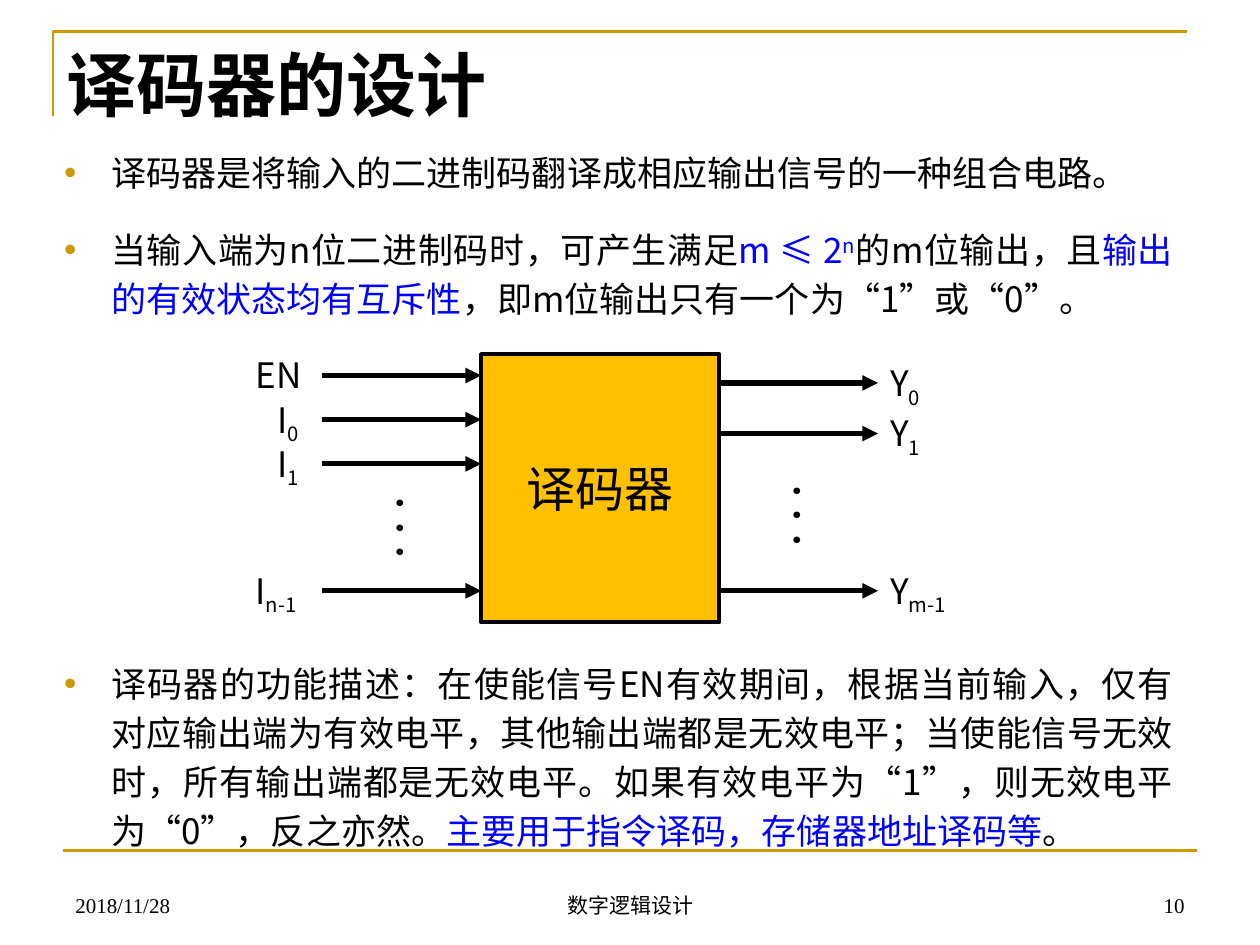
"""Build a slide that explains the design of a decoder."""
from lxml import etree
from pptx import Presentation, util as u
from pptx.dml.color import RGBColor
from pptx.enum import shapes, text
from pptx.oxml.ns import qn

SANS, SERIF = "Noto Sans CJK SC", "Times New Roman"
BLACK, BLUE, GOLD, AMBER = "000000", "0000FF", "CC9900", "FFC000"
LEFT, CENTER, RIGHT, JUSTIFY = (
    text.PP_ALIGN.LEFT, text.PP_ALIGN.CENTER, text.PP_ALIGN.RIGHT, text.PP_ALIGN.JUSTIFY)
TOP, MIDDLE, BOTTOM = text.MSO_ANCHOR.TOP, text.MSO_ANCHOR.MIDDLE, text.MSO_ANCHOR.BOTTOM


def paint(color_format, color):
    """Set a colour format from a hex string."""
    color_format.rgb = RGBColor.from_string(color)


def place(shape, left, top, width, height):
    """Move and size a shape in centimetres."""
    shape.left, shape.top = u.Cm(left), u.Cm(top)
    shape.width, shape.height = u.Cm(width), u.Cm(height)


def add_run(paragraph, content, size=20, color=BLACK, font=SANS, bold=False, baseline=0):
    """Add formatted text to a paragraph."""
    run = paragraph.add_run()
    run.text = content
    run.font.size, run.font.bold, run.font.name = u.Pt(size), bold, font
    paint(run.font.color, color)
    properties = run.font._element
    etree.SubElement(properties, qn("a:ea")).set("typeface", SANS)
    if baseline:
        properties.set("baseline", str(baseline * 1000))


def prepare_frame(shape, anchor=TOP, align=LEFT):
    """Set wrapping and alignment, and return the first paragraph."""
    frame = shape.text_frame
    frame.word_wrap, frame.auto_size = True, text.MSO_AUTO_SIZE.NONE
    frame.vertical_anchor = anchor
    frame.paragraphs[0].alignment = align
    return frame.paragraphs[0]


def add_label(slide, box, content, subscript="", anchor=TOP, align=LEFT, **style):
    """Add a text box with an optional subscript."""
    shape = slide.shapes.add_textbox(*map(u.Cm, box))
    paragraph = prepare_frame(shape, anchor, align)
    add_run(paragraph, content, **style)
    if subscript:
        add_run(paragraph, subscript, baseline=-25, **style)
    return shape


def add_line(slide, start, end, color=BLACK, width=3, arrow=False):
    """Add a straight line, with an arrowhead at its end if wanted."""
    line = slide.shapes.add_connector(
        shapes.MSO_CONNECTOR.STRAIGHT, *map(u.Cm, (*start, *end)))
    line.line.width = u.Pt(width)
    paint(line.line.color, color)
    if arrow:
        etree.SubElement(line.line._get_or_add_ln(), qn("a:tailEnd")).set("type", "triangle")
    etree.SubElement(line._element.spPr, qn("a:effectLst"))


def add_corner(slide):
    """Draw the angled rule around the title."""
    builder = slide.shapes.build_freeform(u.Cm(1.07), u.Cm(2.34))
    builder.add_line_segments(
        [(u.Cm(1.07), u.Cm(0.64)), (u.Cm(23.93), u.Cm(0.64))], close=False)
    corner = builder.convert_to_shape()
    corner.shadow.inherit = False
    corner.fill.background()
    corner.line.width = u.Pt(1.5)
    paint(corner.line.color, GOLD)


def add_bullet(paragraph, runs, space_before=16):
    """Fill a justified paragraph with a gold bullet."""
    paragraph.alignment = JUSTIFY
    paragraph.line_spacing, paragraph.space_before = u.Pt(28), u.Pt(space_before)
    properties = paragraph._p.get_or_add_pPr()
    indent = u.Cm(0.95)
    properties.set("marL", str(indent))
    properties.set("indent", str(-indent))
    bullet_color = etree.SubElement(properties, qn("a:buClr"))
    etree.SubElement(bullet_color, qn("a:srgbClr")).set("val", GOLD)
    etree.SubElement(properties, qn("a:buChar")).set("char", "•")
    for content, style in runs:
        add_run(paragraph, content, **style)


def fill_body(body):
    """Write the bullets and leave room for the diagram before the last one."""
    place(body, 1.04, 2.79, 22.86, 4.6)
    blue = {"color": BLUE}
    first = prepare_frame(body)
    add_bullet(first, [("译码器是将输入的二进制码翻译成相应输出信号的一种组合电路。", {})])
    add_bullet(body.text_frame.add_paragraph(), [
        ("当输入端为n位二进制码时，可产生满足", {}),
        ("m ≤ 2", blue),
        ("n", {"color": BLUE, "baseline": 30}),
        ("的m位输出，且", {}),
        ("输出的有效状态均有互斥性", blue),
        ("，即m位输出只有一个为“1”或“0”。", {}),
    ])
    add_bullet(body.text_frame.add_paragraph(), [
        ("译码器的功能描述：在使能信号EN有效期间，根据当前输入，仅有对应输出端为有效电平，"
         "其他输出端都是无效电平；当使能信号无效时，所有输出端都是无效电平。"
         "如果有效电平为“1”，则无效电平为“0”，反之亦然。", {}),
        ("主要用于指令译码，存储器地址译码等", blue),
        ("。", {}),
    ], space_before=192)


def add_decoder(slide):
    """Draw the decoder block with its inputs and outputs."""
    left, right, reach, rise = 9.7, 14.5, 3.2, 0.56
    block = slide.shapes.add_shape(
        shapes.MSO_SHAPE.RECTANGLE, u.Cm(left), u.Cm(7.14), u.Cm(right - left), u.Cm(5.41))
    block.shadow.inherit = False
    block.fill.solid()
    paint(block.fill.fore_color, AMBER)
    block.line.width = u.Pt(2.25)
    paint(block.line.color, BLACK)
    add_run(prepare_frame(block, MIDDLE, CENTER), "译码器", size=28)

    inputs = [("EN", "", 7.57, 1.63), ("I", "0", 8.46, 1.19),
              ("I", "1", 9.35, 1.19), ("I", "n-1", 11.91, 1.63)]
    for name, subscript, y, width in inputs:
        add_line(slide, (left - reach, y), (left, y), arrow=True)
        add_label(slide, (left - reach + 0.03 - width, y - rise, width, 1.12), name, subscript)

    outputs = [("0", 7.72, 1.4), ("1", 8.74, 1.4), ("m-1", 11.91, 2.01)]
    for subscript, y, width in outputs:
        add_line(slide, (right, y), (right + reach, y), arrow=True)
        add_label(slide, (right + reach, y - rise, width, 1.12), "Y", subscript)

    for x, y in [(7.52, 9.93), (15.52, 9.68)]:
        dots = add_label(slide, (x, y, 1.78, 1.45), ". . .", anchor=MIDDLE, size=28)
        dots.rotation = 90


def add_footer(slide):
    """Add the date, the course name and the page number."""
    items = [("2018/11/28", 1.27, 5.92, LEFT), ("数字逻辑设计", 8.69, 8.05, CENTER),
             ("10", 18.21, 5.92, RIGHT)]
    for content, left, width, align in items:
        add_label(slide, (left, 17.35, width, 1.27), content,
                  anchor=BOTTOM, align=align, size=12, font=SERIF)


def main():
    """Build and save the presentation."""
    presentation = Presentation()
    presentation.slide_width, presentation.slide_height = u.Cm(25.4), u.Cm(19.05)
    slide = presentation.slides.add_slide(presentation.slide_layouts[1])
    add_corner(slide)
    add_line(slide, (1.27, 17.15), (24.13, 17.15), color=GOLD, width=1.5)
    add_footer(slide)
    title, body = slide.shapes.title, slide.placeholders[1]
    place(title, 1.09, 0.71, 19.61, 1.96)
    add_run(prepare_frame(title), "译码器的设计", size=40, bold=True)
    fill_body(body)
    add_decoder(slide)
    presentation.save("out.pptx")


if __name__ == "__main__":
    main()
